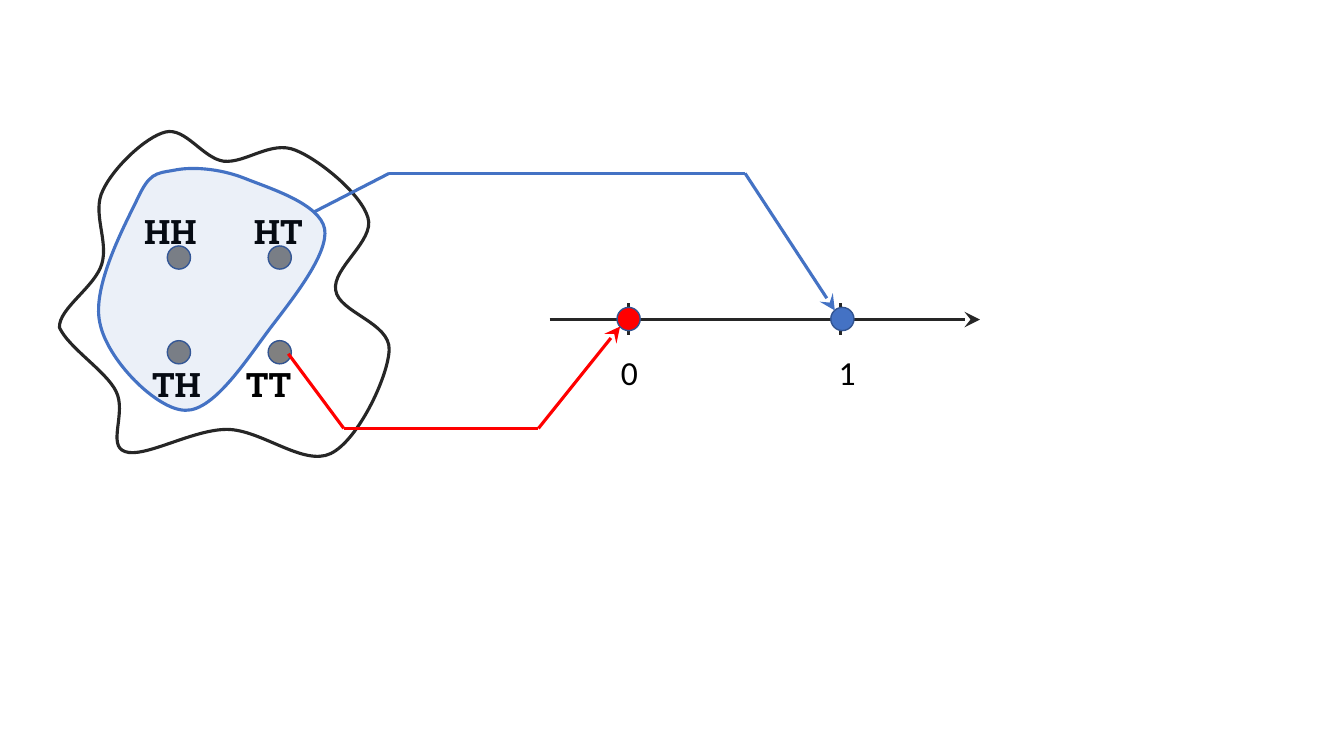
from lxml import etree
from pptx import Presentation, util as u
from pptx.dml.color import RGBColor
from pptx.enum import shapes, text
from pptx.oxml.ns import qn

PX = 9144  # 100 px to the inch
INK, BLUE, RED, GREY, RIM = "262626", "4472C4", "FF0000", "808080", "325491"
DOT = 23

# Each closed curve: a start, then (control, control, end) per segment
SPACE_CURVE = [
    (43, 58),
    (53, 36), (85, 5), (105, 0),
    (125, -5), (142, 26), (163, 29),
    (185, 31), (210, 8), (234, 18),
    (257, 27), (299, 61), (306, 85),
    (313, 108), (270, 135), (274, 157),
    (277, 179), (328, 189), (327, 216),
    (326, 243), (296, 306), (269, 319),
    (242, 332), (200, 295), (166, 295),
    (132, 295), (84, 324), (65, 317),
    (47, 311), (67, 278), (56, 257),
    (46, 237), (9, 214), (0, 194),
    (-1, 175), (35, 154), (42, 131),
    (49, 108), (32, 80), (43, 58),
]
EVENT_CURVE = [
    (113, 38),
    (131, 34), (159, 36), (184, 46),
    (209, 56), (258, 71), (263, 96),
    (267, 120), (234, 162), (211, 192),
    (188, 222), (154, 277), (125, 276),
    (97, 276), (47, 226), (40, 189),
    (32, 153), (65, 92), (77, 67),
    (89, 41), (95, 41), (113, 38),
]


def color(hex_string):
    return RGBColor.from_string(hex_string)


def px(*lengths):
    return [u.Emu(length * PX) for length in lengths]


def paint(shape, fill, line, width):
    shape.shadow.inherit = False
    shape.fill.solid()
    shape.fill.fore_color.rgb = color(fill)
    shape.line.color.rgb = color(line)
    shape.line.width = u.Pt(width)


def add_curve(page, left, top, points, fill, line, alpha=None):
    """Draw a closed Bezier outline; points are relative to left, top."""
    points = [(left + x, top + y) for x, y in points]
    anchors = points[::3]
    builder = page.shapes.build_freeform(*anchors[0], scale=PX)
    builder.add_line_segments(anchors[1:], close=True)
    shape = builder.convert_to_shape()
    paint(shape, fill, line, 2.25)

    # Turn each straight segment into a cubic one, in the outline's own px
    min_x, min_y = (min(axis) for axis in zip(*anchors))
    segments = list(shape._element.iter(qn("a:lnTo")))
    for index, segment in enumerate(segments):
        cubic = etree.Element(qn("a:cubicBezTo"))
        for x, y in points[3 * index + 1:3 * index + 4]:
            etree.SubElement(cubic, qn("a:pt"), x=str(x - min_x), y=str(y - min_y))
        segment.getparent().replace(segment, cubic)

    if alpha:
        solid = shape._element.spPr.find(qn("a:solidFill"))
        etree.SubElement(solid[0], qn("a:alpha"), val=str(alpha * 1000))


def add_dot(page, left, top, fill):
    dot = page.shapes.add_shape(shapes.MSO_SHAPE.OVAL, *px(left, top, DOT, DOT))
    paint(dot, fill, RIM, 1)


def add_label(page, left, top, width, words, font, bold=False, wrap=False):
    box = page.shapes.add_textbox(*px(left, top, width, 50))
    frame = box.text_frame
    frame.word_wrap = wrap
    frame.auto_size = text.MSO_AUTO_SIZE.SHAPE_TO_FIT_TEXT
    para = frame.paragraphs[0]
    span = para.add_run()
    span.text = words
    span.font.name = font
    span.font.size = u.Pt(24)
    span.font.bold = bold
    span.font.color.rgb = color("000000")


def add_line(page, start, end, line, arrow=False):
    connector = page.shapes.add_connector(
        shapes.MSO_CONNECTOR.STRAIGHT, *px(*start, *end))
    connector.line.color.rgb = color(line)
    connector.line.width = u.Pt(2.25)
    properties = connector._element.spPr
    if arrow:
        etree.SubElement(properties.find(qn("a:ln")), qn("a:tailEnd"),
                         type="stealth", w="lg", len="lg")
    etree.SubElement(properties, qn("a:effectLst"))


def draw_sample_space(page, left, top):
    """Outcomes of two coin tosses, with the event around three of them."""
    add_curve(page, left, top, SPACE_CURVE, "FFFFFF", INK)
    for x in (107, 207):
        for y in (113, 207):
            add_dot(page, left + x, top + y, GREY)
    for words, x, y, width in (("HH", 74, 73, 75), ("HT", 183, 73, 71),
                               ("TH", 82, 225, 71), ("TT", 175, 225, 67)):
        add_label(page, left + x, top + y, width, words, "Roboto Slab", bold=True)
    add_curve(page, left, top, EVENT_CURVE, BLUE, BLUE, alpha=10)


def draw_number_line(page, left, top, width, height):
    """Axis with a tick, a dot and a number for each value."""
    middle = top + 16
    add_line(page, (left, middle), (left + width, middle), INK, arrow=True)
    for words, tick, dot, label, fill in (("0", 78, 67, 61, RED),
                                          ("1", 289, 279, 277, BLUE)):
        add_line(page, (left + tick, top + height), (left + tick, top), INK)
        add_label(page, left + label, top + 43, 60, words, "Calibri", wrap=True)
        add_dot(page, left + dot, top + 4, fill)


def draw_route(page, stops, line):
    """Bent arrow from an outcome to its value."""
    for start, end in zip(stops, stops[1:]):
        add_line(page, start, end, line, arrow=end == stops[-1])


def main():
    deck = Presentation()
    deck.slide_width, deck.slide_height = px(1333, 750)
    page = deck.slides.add_slide(deck.slide_layouts[6])
    draw_sample_space(page, 59, 131)
    draw_number_line(page, 545, 301, 427, 31)
    draw_route(page, [(312, 210), (386, 172), (739, 172), (828, 308)], BLUE)
    draw_route(page, [(286, 351), (341, 425), (534, 425), (615, 324)], RED)
    deck.save("out.pptx")


if __name__ == "__main__":
    main()
